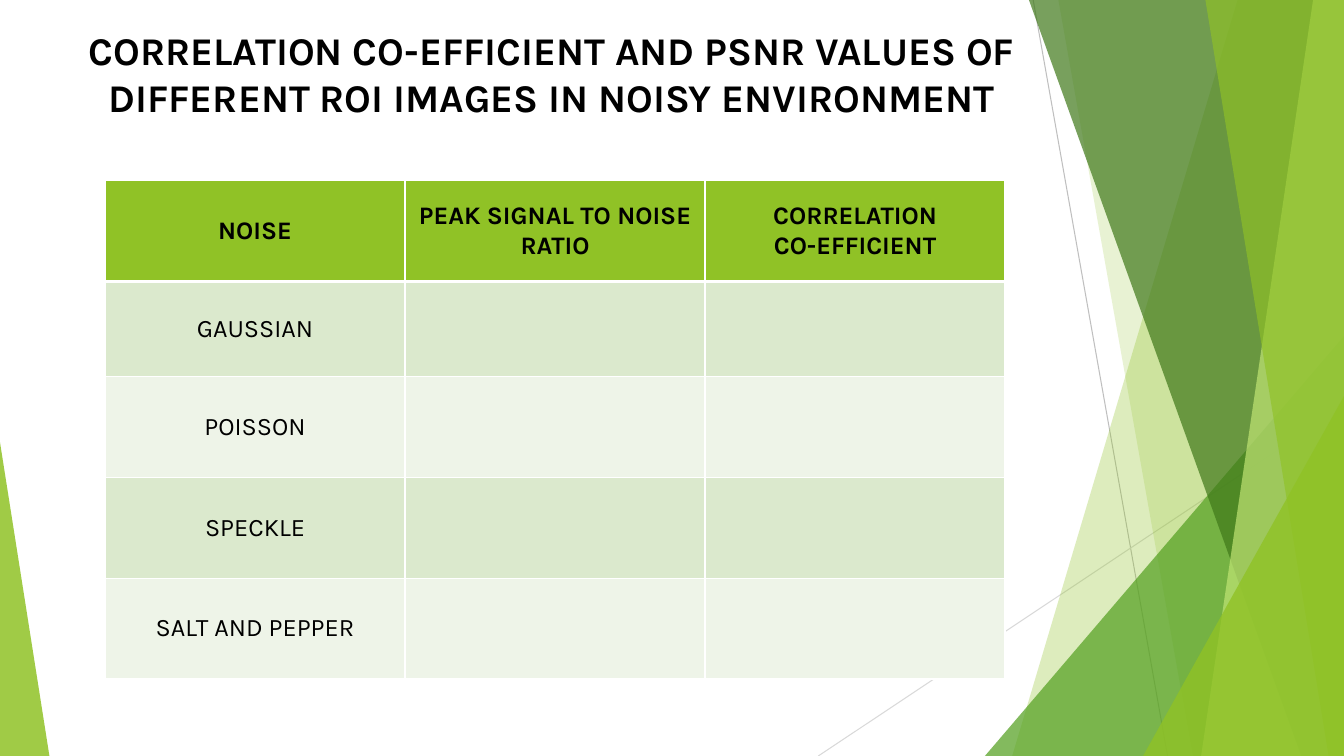
from dataclasses import dataclass

from pptx import Presentation
from pptx.dml.color import RGBColor
from pptx.enum.shapes import MSO_CONNECTOR, MSO_SHAPE
from pptx.enum.text import MSO_ANCHOR, PP_ALIGN
from pptx.oxml.ns import qn
from pptx.oxml.xmlchemy import OxmlElement
from pptx.util import Pt


@dataclass(frozen=True)
class Theme:
    font: str = "Karla"
    title_size: float = 28
    body_size: float = 18
    text: str = "000000"
    white: str = "FFFFFF"
    lime: str = "90C226"
    pale_lime: str = "C0E474"
    green: str = "54A021"
    dark_green: str = "3F7819"
    row_dark: str = "DBE9CD"
    row_light: str = "EEF4E8"
    line_dark: str = "BFBFBF"
    line_light: str = "D9D9D9"


WIDTH, HEIGHT = 960, 540


def add_text(tf, text, *, theme, size, bold=False, align=PP_ALIGN.CENTER):
    for i, line in enumerate(text.split("\n")):
        p = tf.paragraphs[0] if i == 0 else tf.add_paragraph()
        p.alignment = align
        r = p.add_run()
        r.text = line
        r.font.name = theme.font
        r.font.size = Pt(size)
        r.font.bold = bold
        r.font.color.rgb = RGBColor.from_string(theme.text)


class SlideBuilder:
    def __init__(self, slide, theme):
        self.slide = slide
        self.shapes = slide.shapes
        self.theme = theme

    def line(self, x1, y1, x2, y2, color):
        s = self.shapes.add_connector(
            MSO_CONNECTOR.STRAIGHT, Pt(x1), Pt(y1), Pt(x2), Pt(y2))
        s.line.color.rgb = RGBColor.from_string(color)
        s.line.width = Pt(0.75)
        s.element.spPr.append(OxmlElement("a:effectLst"))

    def paint(self, s, color, opacity):
        s.shadow.inherit = False
        s.line.fill.background()
        s.fill.solid()
        s.fill.fore_color.rgb = RGBColor.from_string(color)
        alpha = OxmlElement("a:alpha")
        alpha.set("val", str(opacity * 1000))
        s.element.spPr.find(f".//{qn('a:srgbClr')}").append(alpha)

    def pane(self, top_x, bottom_x, color, opacity):
        fb = self.shapes.build_freeform(Pt(top_x), 0)
        corners = [(WIDTH, 0), (WIDTH, HEIGHT), (bottom_x, HEIGHT)]
        fb.add_line_segments([(Pt(x), Pt(y)) for x, y in corners])
        self.paint(fb.convert_to_shape(), color, opacity)

    def triangle(self, x, y, w, apex, color, opacity):
        s = self.shapes.add_shape(
            MSO_SHAPE.ISOSCELES_TRIANGLE, Pt(x), Pt(y), Pt(w), Pt(HEIGHT - y))
        s.adjustments[0] = apex
        self.paint(s, color, opacity)

    def title(self, x, y, w, h, text):
        tf = self.shapes.add_textbox(Pt(x), Pt(y), Pt(w), Pt(h)).text_frame
        tf.word_wrap = True
        add_text(tf, text, theme=self.theme, size=self.theme.title_size, bold=True)

    def border(self, cell, side, width):
        ln = OxmlElement(f"a:ln{side}")
        ln.set("w", str(Pt(width)))
        fill = OxmlElement("a:solidFill")
        clr = OxmlElement("a:srgbClr")
        clr.set("val", self.theme.white)
        fill.append(clr)
        ln.append(fill)
        cell._tc.get_or_add_tcPr().append(ln)

    def cell(self, cell, text, row):
        t = self.theme
        header = row == 0
        for side in "LRTB":
            thick = (header and side == "B") or (row == 1 and side == "T")
            self.border(cell, side, 3 if thick else 1)
        color = t.lime if header else t.row_dark if row % 2 else t.row_light
        cell.fill.solid()
        cell.fill.fore_color.rgb = RGBColor.from_string(color)
        cell.vertical_anchor = MSO_ANCHOR.MIDDLE
        if text:
            add_text(cell.text_frame, text, theme=t, size=t.body_size, bold=header)

    def table(self, x, y, col_width, heights, rows):
        cols = len(rows[0])
        table = self.shapes.add_table(
            len(rows), cols, Pt(x), Pt(y),
            Pt(col_width * cols), Pt(sum(heights))).table
        for col in table.columns:
            col.width = Pt(col_width)
        for i, (height, texts) in enumerate(zip(heights, rows)):
            table.rows[i].height = Pt(height)
            for j, text in enumerate(texts):
                self.cell(table.cell(i, j), text, i)


def main():
    """Build the noise comparison slide and save it."""
    prs = Presentation()
    prs.slide_width, prs.slide_height = Pt(WIDTH), Pt(HEIGHT)
    t = Theme()
    b = SlideBuilder(prs.slides.add_slide(prs.slide_layouts[6]), t)

    b.line(738, 0, 834, HEIGHT, t.line_dark)
    b.line(WIDTH, 290, 584.5, HEIGHT, t.line_light)
    b.pane(884, 723, t.lime, 30)
    b.pane(756, 852, t.lime, 20)
    b.triangle(703.5, 240, 256.5, 1, t.green, 72)
    b.pane(735, 929.5, t.dark_green, 70)
    b.pane(938, 858, t.pale_lime, 70)
    b.pane(861, 949, t.lime, 65)
    b.triangle(816.5, 283, 143.5, 1, t.lime, 80)
    b.triangle(0, 316, 35.3, 0, t.lime, 85)

    b.title(41.8, 15.1, 704, 184,
            "CORRELATION CO-EFFICIENT AND PSNR VALUES OF "
            "DIFFERENT ROI IMAGES IN NOISY ENVIRONMENT")
    noises = ["GAUSSIAN", "POISSON", "SPECKLE", "SALT AND PEPPER"]
    header = ["NOISE", "PEAK SIGNAL TO NOISE RATIO", "CORRELATION\nCO-EFFICIENT"]
    b.table(75, 129, 214.3, [72, 68, 72, 72, 72],
            [header] + [[noise, "", ""] for noise in noises])

    prs.save("out.pptx")


if __name__ == "__main__":
    main()
